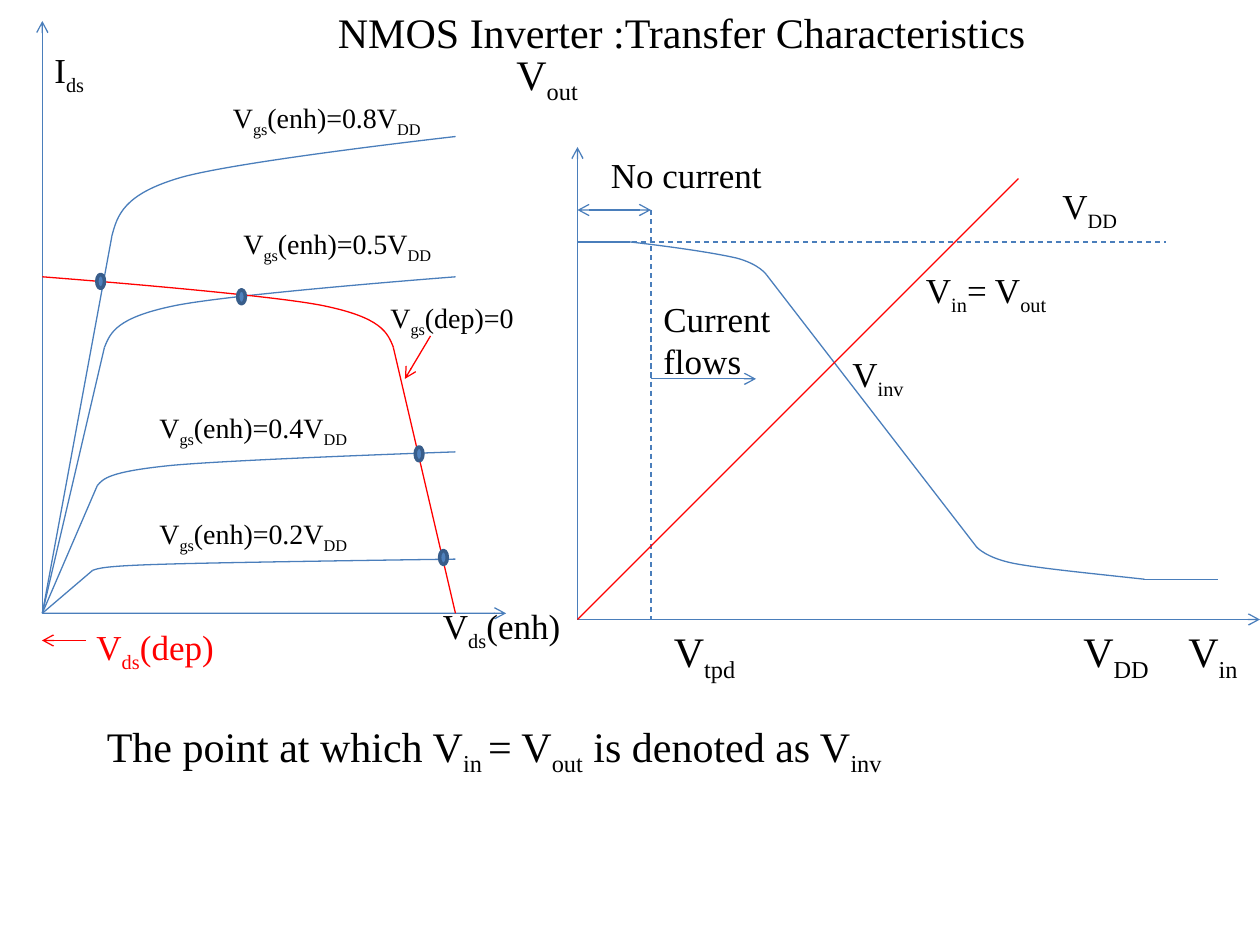
from dataclasses import dataclass
from typing import NamedTuple

from lxml.etree import SubElement
from pptx import Presentation
from pptx.dml.color import RGBColor as Rgb
from pptx.enum.dml import MSO_LINE
from pptx.enum.shapes import MSO_CONNECTOR as Link, MSO_SHAPE as Preset
from pptx.enum.text import MSO_ANCHOR as Anchor, MSO_AUTO_SIZE as AutoSize, PP_ALIGN as Align
from pptx.oxml.ns import qn
from pptx.util import Pt


@dataclass(frozen=True)
class Theme:
    font: str = "Times New Roman"
    ink: Rgb = Rgb(0, 0, 0)
    blue: Rgb = Rgb(0x4A, 0x7E, 0xBB)
    red: Rgb = Rgb(0xFF, 0, 0)
    dot_fill: Rgb = Rgb(0x4F, 0x81, 0xBD)
    dot_edge: Rgb = Rgb(0x38, 0x5D, 0x8A)
    large: int = 24
    medium: int = 20
    small: int = 16
    stroke: float = 0.75
    dot_stroke: float = 2


THEME = Theme()


class Point(NamedTuple):
    x: float
    y: float


class Bend(NamedTuple):
    start: Point
    leave: Point
    approach: Point
    middle: Point
    onward: Point
    end: Point


class Label(NamedTuple):
    text: str
    left: float
    top: float
    width: float
    height: float
    size: int
    color: Rgb = THEME.ink


class Segment(NamedTuple):
    start: Point
    end: Point
    arrows: tuple = ()
    color: Rgb = THEME.blue
    dashed: bool = False


HEAD, TAIL = "headEnd", "tailEnd"
FRAME_FORMAT = {"word_wrap": True, "auto_size": AutoSize.SHAPE_TO_FIT_TEXT,
                "vertical_anchor": Anchor.TOP,
                "margin_left": Pt(7.2), "margin_right": Pt(7.2),
                "margin_top": Pt(3.6), "margin_bottom": Pt(3.6)}

LOAD_ORIGIN = Point(24.2, 350.4)
SUPPLY_X = 260.3
TRANSFER_ORIGIN = Point(330, 354)
HIGH_Y, THRESHOLD_X = 138.25, 372


def bend(*coordinates: tuple) -> Bend:
    return Bend(*(Point(*pair) for pair in coordinates))


ENHANCEMENT = {
    "0.8": bend((63.9, 135), (67, 123), (70.6, 111), (103, 101.5), (136, 92), (SUPPLY_X, 78)),
    "0.5": bend((59.7, 198.5), (63.1, 190), (66.6, 181.5), (99.8, 174.7), (133.2, 167.9),
                (SUPPLY_X, 158.2)),
    "0.4": bend((55.6, 277.5), (59, 273.4), (62.6, 269.6), (96.5, 266.1), (130.3, 262.7),
                (SUPPLY_X, 258.2)),
    "0.2": bend((52.8, 326), (56.2, 324.7), (59.7, 323.4), (94.2, 322.4), (128.7, 321.3),
                (SUPPLY_X, 319.5)),
}
UPPER_KNEE = bend((360, HIGH_Y), (384, 141), (408, 144.5), (421, 147.5), (434, 151), (438, 157))
LOWER_KNEE = bend((654, 331), (624, 327.7), (594.6, 324.9), (579, 321.9), (563, 318.6),
                  (558, 312.5))

TRANSFER_LINES = [
    Segment(Point(330, 84), TRANSFER_ORIGIN, (HEAD,)),
    Segment(TRANSFER_ORIGIN, Point(720, 354), (TAIL,)),
    Segment(UPPER_KNEE.end, LOWER_KNEE.end),
    Segment(LOWER_KNEE.start, Point(696, 331)),
    Segment(Point(330, HIGH_Y), Point(666, HIGH_Y), dashed=True),
    Segment(Point(330, HIGH_Y), UPPER_KNEE.start),
    Segment(Point(THRESHOLD_X, 120), Point(THRESHOLD_X, 354), dashed=True),
    Segment(Point(THRESHOLD_X, 216.5), Point(432, 216.5), (TAIL,)),
    Segment(Point(330, 120), Point(THRESHOLD_X, 120), (HEAD, TAIL)),
    Segment(Point(582, 102), TRANSFER_ORIGIN, color=THEME.red),
]
LOAD_AXES = [
    Segment(Point(24.2, 12), LOAD_ORIGIN, (HEAD,)),
    Segment(LOAD_ORIGIN, Point(289.2, 350.5), (TAIL,)),
]
LOAD_POINTERS = [
    Segment(Point(246, 192), Point(231.4, 216.5), (TAIL,), THEME.red),
    Segment(Point(49.2, 366), Point(24, 366), (TAIL,), THEME.red),
]
OPERATING_POINTS = [Point(253.4, 318.6), Point(239.5, 259.4), Point(138, 169.6), Point(57.5, 160.8)]

TRANSFER_LABELS = [
    Label("V~DD~", 600, 102, 72, 34.5, THEME.medium),
    Label("V~out~", 288, 24, 54, 40, THEME.large),
    Label("V~in~", 672, 354, 54, 40, THEME.large),
    Label("V~tpd~", 378, 354, 54, 40, THEME.large),
    Label("No current", 342, 84, 138, 31.5, THEME.medium),
    Label("NMOS Inverter :Transfer Characteristics", 186, 0, 462, 36, THEME.large),
    Label("The point at which V~in ~= V~out~ is denoted as V~inv~", 54, 408, 606, 40, THEME.large),
    Label("V~DD~", 612, 354, 66, 40, THEME.large),
    Label("V~inv~", 480, 198, 108, 34.5, THEME.medium),
    Label("V~in~= V~out~", 522, 150, 108, 34.5, THEME.medium),
]
GATE_LABEL_PLACES = {"0.8": (126, 54, 180), "0.5": (132, 126, 138),
                     "0.4": (84, 231.25, 138), "0.2": (84, 291.5, 132)}
LOAD_LABELS = [
    Label("V~ds~(enh)", 246, 342, 96, 34.5, THEME.medium),
    Label("V~ds~(dep)", 48, 354, 96, 34.5, THEME.medium, THEME.red),
    Label("I~ds~", 24, 24, 36, 34.5, THEME.medium),
    *(Label(f"V~gs~(enh)={ratio}V~DD~", *place, 29.5, THEME.small)
      for ratio, place in GATE_LABEL_PLACES.items()),
    Label("V~gs~(dep)=0", 216, 168, 126, 29.5, THEME.small),
    Label("Current\nflows", 372, 166.5, 78, 55.5, THEME.medium),
]


def apply_format(target, values: dict) -> None:
    for name, value in values.items():
        setattr(target, name, value)


def style_line(line, color: Rgb, width: float) -> None:
    line.color.rgb = color
    line.width = Pt(width)


def draw_segment(shapes, segment: Segment) -> None:
    ends = [Pt(value) for value in (*segment.start, *segment.end)]
    connector = shapes.add_connector(Link.STRAIGHT, *ends)
    style_line(connector.line, segment.color, THEME.stroke)
    if segment.dashed:
        connector.line.dash_style = MSO_LINE.DASH
    properties = connector._element.spPr
    for arrow in segment.arrows:
        SubElement(properties.find(qn("a:ln")), qn(f"a:{arrow}"), type="arrow")
    SubElement(properties, qn("a:effectLst"))


def draw_outline(shapes, points: list[Point], color: Rgb):
    first, *rest = [(Pt(point.x), Pt(point.y)) for point in points]
    builder = shapes.build_freeform(*first)
    builder.add_line_segments(rest, close=False)
    outline = builder.convert_to_shape()
    outline.fill.background()
    outline.shadow.inherit = False
    style_line(outline.line, color, THEME.stroke)
    return outline


def draw_bend(shapes, curve: Bend, color: Rgb) -> None:
    outline = draw_outline(shapes, [*curve, curve.end], color)
    steps = list(outline._element.iter(qn("a:lnTo")))
    route = steps[0].getparent()
    for first in range(0, len(steps), 3):
        cubic = SubElement(route, qn("a:cubicBezTo"))
        for step in steps[first:first + 3]:
            cubic.append(step[0])
            route.remove(step)


def draw_device_curve(shapes, curve: Bend, foot: Point, color: Rgb) -> None:
    draw_bend(shapes, curve, color)
    draw_outline(shapes, [foot, curve.start], color)


def mirror(curve: Bend) -> Bend:
    return Bend(*(Point(LOAD_ORIGIN.x + SUPPLY_X - x, y) for x, y in curve))


def draw_operating_point(shapes, center: Point) -> None:
    width, height = 4.4, 8
    dot = shapes.add_shape(Preset.OVAL, Pt(center.x - width / 2), Pt(center.y - height / 2),
                           Pt(width), Pt(height))
    dot.shadow.inherit = False
    dot.fill.solid()
    dot.fill.fore_color.rgb = THEME.dot_fill
    style_line(dot.line, THEME.dot_edge, THEME.dot_stroke)


def draw_label(shapes, label: Label) -> None:
    frame = shapes.add_textbox(*(Pt(value) for value in label[1:5])).text_frame
    apply_format(frame, FRAME_FORMAT)
    for index, wording in enumerate(label.text.split("\n")):
        paragraph = frame.add_paragraph() if index else frame.paragraphs[0]
        paragraph.alignment = Align.LEFT
        for position, part in enumerate(wording.split("~")):
            if not part:
                continue
            run = paragraph.add_run()
            run.text = part
            apply_format(run.font, {"name": THEME.font, "size": Pt(label.size)})
            run.font.color.rgb = label.color
            if position % 2:
                run._r.get_or_add_rPr().set("baseline", "-25000")


def draw_all(shapes, draw, items: list) -> None:
    for item in items:
        draw(shapes, item)


def main() -> None:
    deck = Presentation()
    apply_format(deck, {"slide_width": Pt(720), "slide_height": Pt(540)})
    shapes = deck.slides.add_slide(deck.slide_layouts[6]).shapes
    for knee in (UPPER_KNEE, LOWER_KNEE):
        draw_bend(shapes, knee, THEME.blue)
    draw_all(shapes, draw_segment, TRANSFER_LINES)
    draw_all(shapes, draw_label, TRANSFER_LABELS)
    draw_all(shapes, draw_segment, LOAD_AXES)
    for curve in ENHANCEMENT.values():
        draw_device_curve(shapes, curve, LOAD_ORIGIN, THEME.blue)
    draw_device_curve(shapes, mirror(ENHANCEMENT["0.5"]), Point(SUPPLY_X, LOAD_ORIGIN.y), THEME.red)
    draw_all(shapes, draw_operating_point, OPERATING_POINTS)
    draw_all(shapes, draw_segment, LOAD_POINTERS)
    draw_all(shapes, draw_label, LOAD_LABELS)
    deck.save("out.pptx")


if __name__ == "__main__":
    main()
